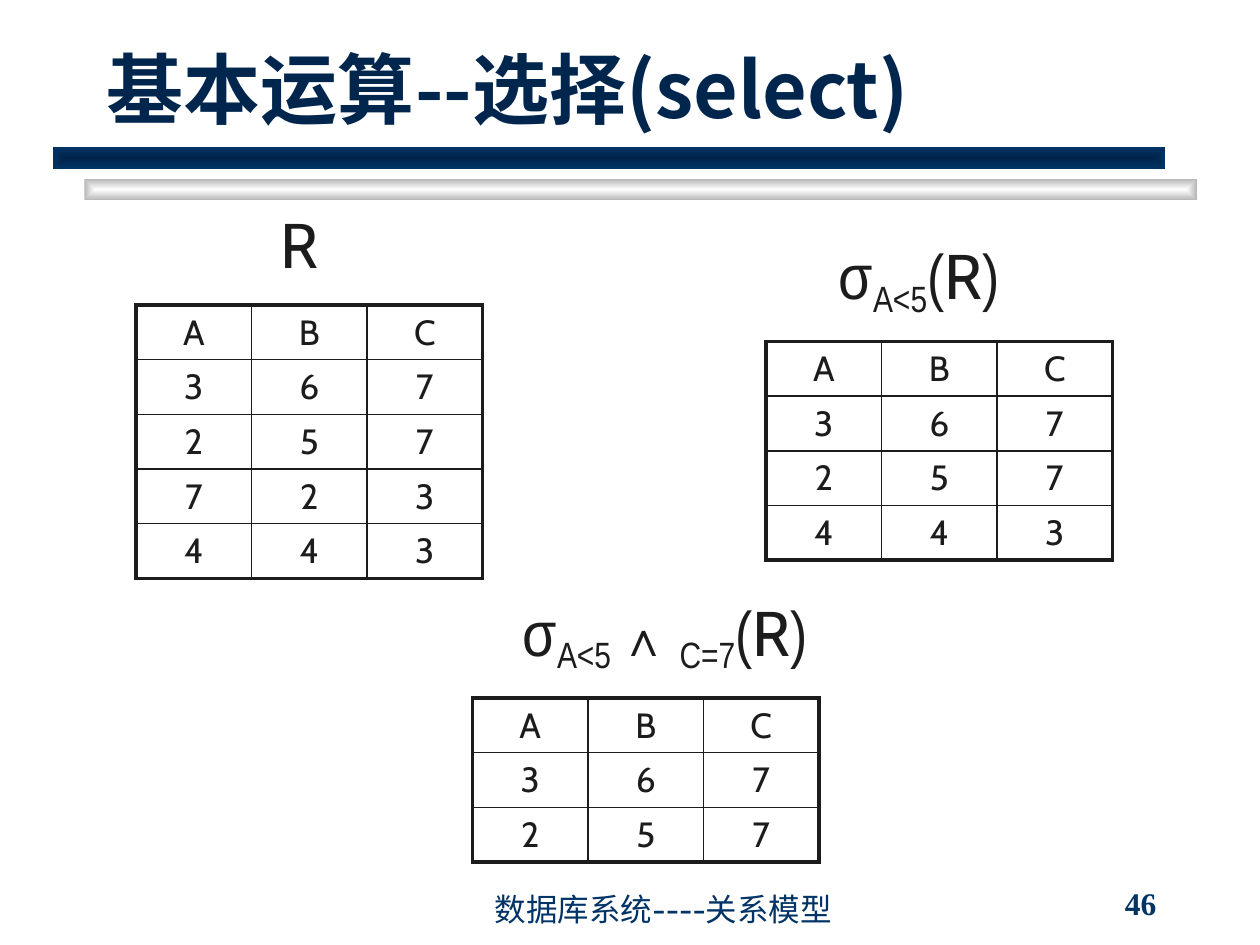
from dataclasses import dataclass

import lxml.etree
import pptx
import pptx.dml.color
import pptx.enum.shapes
import pptx.enum.text
import pptx.oxml.ns
import pptx.util
from pptx.util import Inches

INK = "1C1C1C"
NAVY = "003366"
CJK = "Noto Sans CJK SC"
NARROW = "Arial Narrow"
SUBSCRIPT = -20
ANCHOR = pptx.enum.text.MSO_ANCHOR
ALIGN = pptx.enum.text.PP_ALIGN
AUTO_SIZE = pptx.enum.text.MSO_AUTO_SIZE


@dataclass
class Piece:
    """A stretch of text in one format; baseline is in percent."""
    text: str
    font: str = "Cabin"
    size: float = 36
    color: str = INK
    bold: bool = False
    baseline: int = 0


@dataclass
class Box:
    left: float
    top: float
    width: float
    height: float

    def lengths(self):
        return [Inches(v) for v in (self.left, self.top, self.width, self.height)]


@dataclass
class Relation:
    heading: list[Piece]
    heading_box: Box
    left: float
    top: float
    rows: list[str]


def rgb(value: str):
    return pptx.dml.color.RGBColor.from_string(value)


def add_child(parent, tag: str, **attributes: str):
    return lxml.etree.SubElement(parent, pptx.oxml.ns.qn(tag), attributes)


def add_piece(paragraph, piece: Piece) -> None:
    run = paragraph.add_run()
    run.text = piece.text
    run.font.size = pptx.util.Pt(piece.size)
    run.font.bold = piece.bold
    run.font.color.rgb = rgb(piece.color)
    run.font.name = piece.font
    properties = run._r.get_or_add_rPr()
    add_child(properties, "a:ea", typeface=CJK)
    if piece.baseline:
        properties.set("baseline", str(piece.baseline * 1000))


def add_text(slide, box: Box, pieces: list[Piece], align=ALIGN.LEFT,
             anchor=ANCHOR.TOP, wrap: bool = True, grow: bool = False) -> None:
    frame = slide.shapes.add_textbox(*box.lengths()).text_frame
    frame.word_wrap = wrap
    frame.vertical_anchor = anchor
    frame.auto_size = AUTO_SIZE.SHAPE_TO_FIT_TEXT if grow else AUTO_SIZE.NONE
    paragraph = frame.paragraphs[0]
    paragraph.alignment = align
    for piece in pieces:
        add_piece(paragraph, piece)


def add_bar(slide, box: Box, centre: str, edge: str) -> None:
    """Draw a title rule whose colour runs from its centre to its edges."""
    bar = slide.shapes.add_shape(
        pptx.enum.shapes.MSO_SHAPE.RECTANGLE, *box.lengths())
    bar.shadow.inherit = False
    bar.line.fill.background()
    bar.fill.gradient()
    for stop, color, position in zip(bar.fill.gradient_stops, (centre, edge), (0, 1)):
        stop.color.rgb = rgb(color)
        stop.position = position
    gradient = bar._element.spPr.find(pptx.oxml.ns.qn("a:gradFill"))
    gradient.remove(gradient.find(pptx.oxml.ns.qn("a:lin")))
    shading = add_child(gradient, "a:path", path="rect")
    add_child(shading, "a:fillToRect", l="50000", t="50000", r="50000", b="50000")


def set_borders(cell, outer: dict[str, bool]) -> None:
    """Give outer sides a thick line and inner sides a thin one."""
    properties = cell._tc.get_or_add_tcPr()
    for side, is_outer in outer.items():
        width = pptx.util.Pt(2.25 if is_outer else 1)
        line = add_child(properties, f"a:ln{side}", w=str(int(width)))
        add_child(add_child(line, "a:solidFill"), "a:srgbClr", val=INK)


def add_relation(slide, relation: Relation) -> None:
    add_text(slide, relation.heading_box, relation.heading, ALIGN.CENTER, grow=True)
    row_count, column_count = len(relation.rows), len(relation.rows[0])
    box = Box(relation.left, relation.top, 2.75, 1.3 / 3 * row_count)
    table = slide.shapes.add_table(row_count, column_count, *box.lengths()).table
    table.first_row = table.horz_banding = False
    for r, values in enumerate(relation.rows):
        for c, value in enumerate(values):
            cell = table.cell(r, c)
            cell.vertical_anchor = ANCHOR.MIDDLE
            paragraph = cell.text_frame.paragraphs[0]
            paragraph.alignment = ALIGN.CENTER
            add_piece(paragraph, Piece(value, size=20))
            set_borders(cell, {"L": c == 0, "R": c == column_count - 1,
                               "T": r == 0, "B": r == row_count - 1})
            cell.fill.background()


def selection(*condition: Piece) -> list[Piece]:
    return [Piece("σ", NARROW), *condition,
            Piece("(", NARROW), Piece("R"), Piece(")", NARROW)]


RELATIONS = [
    Relation([Piece("R")], Box(1.92, 1.58, 0.92, 0.7), 1.08, 2.42,
             ["ABC", "367", "257", "723", "443"]),
    Relation(selection(Piece("A<5", NARROW, baseline=SUBSCRIPT)),
             Box(6.42, 1.83, 1.75, 0.7), 6.08, 2.71,
             ["ABC", "367", "257", "443"]),
    Relation(selection(Piece("A<5 ", NARROW, baseline=SUBSCRIPT),
                       Piece("∧ ", NARROW, 28),
                       Piece("C=7", NARROW, baseline=SUBSCRIPT)),
             Box(3.75, 4.66, 3.06, 0.7), 3.75, 5.54,
             ["ABC", "367", "257"]),
]


def main() -> None:
    deck = pptx.Presentation()
    deck.slide_width, deck.slide_height = Inches(10), Inches(7.5)
    slide = deck.slides.add_slide(deck.slide_layouts[6])
    add_bar(slide, Box(0.67, 1.42, 8.83, 0.17), "FFFFFF", "B6B6B6")
    add_bar(slide, Box(0.42, 1.17, 8.83, 0.17), "002449", NAVY)
    add_text(slide, Box(0.75, 0.25, 8.52, 0.86),
             [Piece("基本运算--选择(select)", CJK, 44, "00264D", bold=True)],
             anchor=ANCHOR.BOTTOM)
    for relation in RELATIONS:
        add_relation(slide, relation)
    add_text(slide, Box(3.83, 7.08, 4.08, 0.33),
             [Piece("数据库系统----关系模型", size=18, color=NAVY)],
             anchor=ANCHOR.BOTTOM)
    add_text(slide, Box(8.83, 7, 1.08, 0.33),
             [Piece("46", "Times New Roman", 18, NAVY, bold=True)],
             anchor=ANCHOR.MIDDLE, wrap=False)
    deck.save("out.pptx")


if __name__ == "__main__":
    main()
